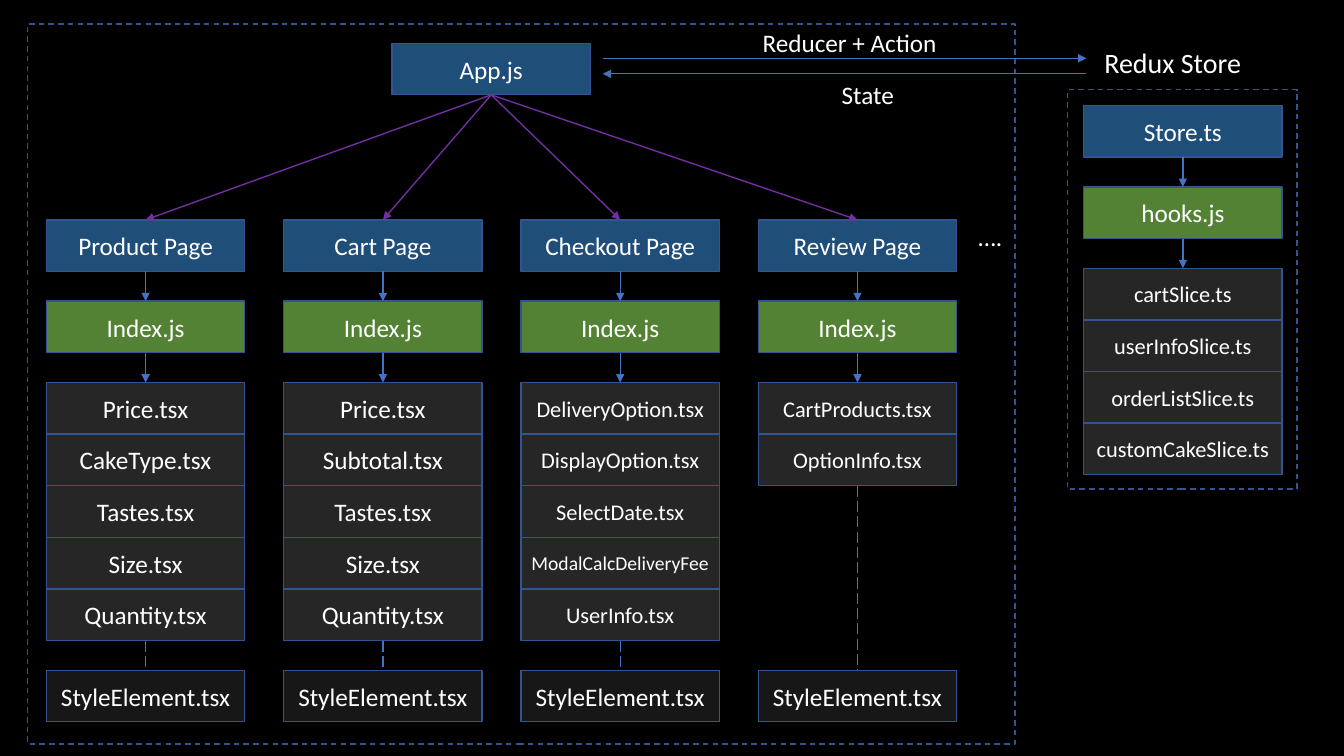
"""Build the component and store structure slide of a cake shop web app."""
from dataclasses import dataclass

from lxml import etree
from pptx import Presentation
from pptx.dml.color import RGBColor
from pptx.enum.dml import MSO_LINE
from pptx.enum.shapes import MSO_CONNECTOR, MSO_SHAPE
from pptx.enum.text import MSO_ANCHOR, PP_ALIGN
from pptx.oxml.ns import qn
from pptx.slide import Slide
from pptx.text.text import TextFrame
from pptx.util import Cm, Pt

RECT = MSO_SHAPE.RECTANGLE
STRAIGHT = MSO_CONNECTOR.STRAIGHT
DASH, LONG_DASH = MSO_LINE.DASH, MSO_LINE.LONG_DASH
CENTER, LEFT, MIDDLE = PP_ALIGN.CENTER, PP_ALIGN.LEFT, MSO_ANCHOR.MIDDLE

FONT = "Calibri"
BLACK, WHITE = "000000", "FFFFFF"
BLUE, GREEN, GRAY, DARK = "1F4E79", "548235", "262626", "181717"
BORDER, ARROW, PURPLE = "325491", "4472C4", "7030A0"

BOX_W, BOX_H = 5.0, 1.3
LEVEL_STEP = 2.05
PAGE_LEFT, PAGE_TOP, PAGE_STEP = 1.17, 5.54, 5.98
STYLE_TOP = 16.89
APP_LEFT, APP_TOP = 9.88, 1.09
STORE_LEFT, STORE_TOP = 27.31, 2.66


@dataclass(frozen=True)
class Stack:
    """A heading, an entry file and the files below it."""
    title: str
    entry: str
    files: tuple[str, ...]
    size: int = 18


@dataclass(frozen=True)
class Frame:
    """A dashed outline."""
    left: float
    top: float
    width: float
    height: float


@dataclass(frozen=True)
class Label:
    """A free text."""
    text: str
    left: float
    top: float
    width: float
    height: float
    size: int = 18


PAGES = (
    Stack("Product Page", "Index.js",
          ("Price.tsx", "CakeType.tsx", "Tastes.tsx", "Size.tsx", "Quantity.tsx")),
    Stack("Cart Page", "Index.js",
          ("Price.tsx", "Subtotal.tsx", "Tastes.tsx", "Size.tsx", "Quantity.tsx")),
    Stack("Checkout Page", "Index.js",
          ("DeliveryOption.tsx", "DisplayOption.tsx", "SelectDate.tsx",
           "ModalCalcDeliveryFee", "UserInfo.tsx"), 16),
    Stack("Review Page", "Index.js", ("CartProducts.tsx", "OptionInfo.tsx"), 16),
)
STORE = Stack("Store.ts", "hooks.js",
              ("cartSlice.ts", "userInfoSlice.ts", "orderListSlice.ts",
               "customCakeSlice.ts"), 16)
SMALL_SIZES = {"ModalCalcDeliveryFee": 14}
FRAMES = (Frame(0.69, 0.61, 24.89, 18.14), Frame(26.9, 2.26, 5.79, 10.06))
LABELS = (
    Label("….", 24.41, 5.46, 2.62, 1.02),
    Label("Redux Store", 27.58, 1.02, 4.45, 1.12, 20),
    Label("Reducer + Action", 18.97, 0.56, 5.61, 1.02),
    Label("State", 20.96, 1.88, 2.62, 1.02),
)


def rgb(value: str) -> RGBColor:
    """Turn a hex string into a colour."""
    return RGBColor.from_string(value)


def write(tf: TextFrame, text: str, size: int, align: PP_ALIGN) -> None:
    """Set and format a single line of text."""
    tf.text = text
    tf.word_wrap = True
    p = tf.paragraphs[0]
    p.alignment = align
    font = p.runs[0].font
    font.name, font.size = FONT, Pt(size)
    font.color.rgb = rgb(WHITE)


def add_box(s: Slide, text: str, left: float, top: float, fill: str,
            size: int = 18) -> None:
    """Draw a filled box with centred text."""
    sp = s.shapes.add_shape(RECT, Cm(left), Cm(top), Cm(BOX_W), Cm(BOX_H))
    sp.shadow.inherit = False
    sp.fill.solid()
    sp.fill.fore_color.rgb = rgb(fill)
    sp.line.color.rgb = rgb(BORDER)
    sp.line.width = Pt(1)
    sp.text_frame.vertical_anchor = MIDDLE
    write(sp.text_frame, text, size, CENTER)


def add_line(s: Slide, x1: float, y1: float, x2: float, y2: float,
             color: str = ARROW, width: float = 1, dashed: bool = False) -> None:
    """Draw an arrow, or a dashed line without a head."""
    cn = s.shapes.add_connector(STRAIGHT, Cm(x1), Cm(y1), Cm(x2), Cm(y2))
    cn.line.color.rgb = rgb(color)
    cn.line.width = Pt(width)
    if dashed:
        cn.line.dash_style = LONG_DASH
    else:
        etree.SubElement(cn.line._get_or_add_ln(), qn("a:tailEnd"), type="triangle")
    etree.SubElement(cn._element.spPr, qn("a:effectLst"))


def add_frame(s: Slide, frame: Frame) -> None:
    """Draw a dashed frame."""
    sp = s.shapes.add_shape(RECT, Cm(frame.left), Cm(frame.top),
                            Cm(frame.width), Cm(frame.height))
    sp.shadow.inherit = False
    sp.fill.background()
    sp.line.color.rgb = rgb(BORDER)
    sp.line.width = Pt(1)
    sp.line.dash_style = DASH


def add_label(s: Slide, label: Label) -> None:
    """Draw a free text."""
    sp = s.shapes.add_textbox(Cm(label.left), Cm(label.top),
                              Cm(label.width), Cm(label.height))
    write(sp.text_frame, label.text, label.size, LEFT)


def add_stack(s: Slide, stack: Stack, left: float, top: float) -> float:
    """Draw a stack and return its bottom edge."""
    middle = left + BOX_W / 2
    entry_top = top + LEVEL_STEP
    files_top = entry_top + LEVEL_STEP
    add_box(s, stack.title, left, top, BLUE)
    add_box(s, stack.entry, left, entry_top, GREEN)
    for row, name in enumerate(stack.files):
        add_box(s, name, left, files_top + row * BOX_H, GRAY,
                SMALL_SIZES.get(name, stack.size))
    for end in (entry_top, files_top):
        add_line(s, middle, end - LEVEL_STEP + BOX_H, middle, end)
    return files_top + len(stack.files) * BOX_H


def main() -> None:
    """Build and save the slide."""
    prs = Presentation()
    prs.slide_width, prs.slide_height = Cm(33.87), Cm(19.05)
    s = prs.slides.add_slide(prs.slide_layouts[6])
    s.background.fill.solid()
    s.background.fill.fore_color.rgb = rgb(BLACK)

    add_box(s, "App.js", APP_LEFT, APP_TOP, BLUE)
    for column, page in enumerate(PAGES):
        left = PAGE_LEFT + column * PAGE_STEP
        middle = left + BOX_W / 2
        bottom = add_stack(s, page, left, PAGE_TOP)
        add_line(s, middle, bottom, middle, STYLE_TOP, dashed=True)
        add_box(s, "StyleElement.tsx", left, STYLE_TOP, DARK)
        add_line(s, APP_LEFT + BOX_W / 2, APP_TOP + BOX_H, middle, PAGE_TOP, PURPLE)
    add_stack(s, STORE, STORE_LEFT, STORE_TOP)

    for frame in FRAMES:
        add_frame(s, frame)
    add_line(s, 15.19, 1.47, 27.38, 1.47, width=0.5)
    add_line(s, 27.38, 1.86, 15.19, 1.86, width=0.5)
    for label in LABELS:
        add_label(s, label)
    prs.save("out.pptx")


if __name__ == "__main__":
    main()
